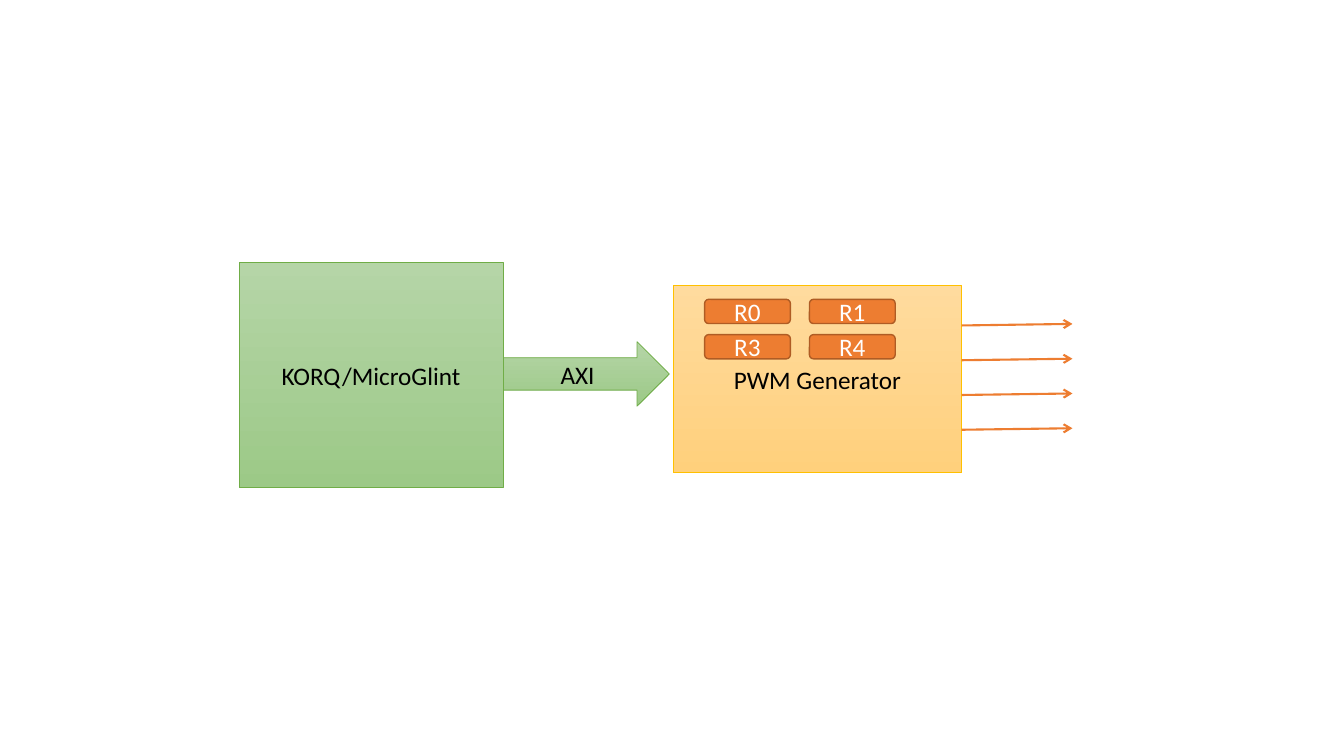
from dataclasses import dataclass

from lxml import etree
from pptx import Presentation
from pptx.dml.color import RGBColor
from pptx.enum.shapes import MSO_CONNECTOR, MSO_SHAPE
from pptx.enum.text import MSO_ANCHOR, PP_ALIGN
from pptx.oxml.ns import qn
from pptx.util import Inches, Pt

RECT = MSO_SHAPE.RECTANGLE
ROUNDED = MSO_SHAPE.ROUNDED_RECTANGLE
RIGHT_ARROW = MSO_SHAPE.RIGHT_ARROW
STRAIGHT = MSO_CONNECTOR.STRAIGHT
MIDDLE = MSO_ANCHOR.MIDDLE
CENTER = PP_ALIGN.CENTER

WIDTH, HEIGHT = Inches(13.33), Inches(7.5)
BLANK_LAYOUT = 6


@dataclass(frozen=True)
class Look:
    fill: tuple  # one colour, or top and bottom of a gradient
    line: str
    line_width: float
    text: str


@dataclass(frozen=True)
class Theme:
    font: str = "Calibri"
    size: int = 18
    signal: str = "ED7D31"
    signal_width: float = 1.5
    processor: Look = Look(("B5D5A7", "9CC987"), "70AD47", 0.5, "000000")
    generator: Look = Look(("FFDB9E", "FFD07C"), "FFC000", 0.5, "000000")
    register: Look = Look(("ED7D31",), "AF5C24", 1, "FFFFFF")


THEME = Theme()


def rgb(value):
    return RGBColor.from_string(value)


def col(share):
    """Length as a percentage of the slide's width."""
    return round(WIDTH * share / 100)


def row(share):
    """Length as a percentage of the slide's height."""
    return round(HEIGHT * share / 100)


def set_line(line, colour, width):
    line.color.rgb = rgb(colour)
    line.width = Pt(width)


def set_fill(fill, colours):
    if len(colours) == 1:
        fill.solid()
        fill.fore_color.rgb = rgb(colours[0])
        return
    fill.gradient()
    fill.gradient_angle = 270  # top to bottom
    for stop, colour in zip(fill.gradient_stops, colours):
        stop.color.rgb = rgb(colour)


def add_block(slide, kind, x, y, w, h, text, look):
    sp = slide.shapes.add_shape(kind, col(x), row(y), col(w), row(h))
    sp.shadow.inherit = False
    set_fill(sp.fill, look.fill)
    set_line(sp.line, look.line, look.line_width)
    tf = sp.text_frame
    tf.vertical_anchor = MIDDLE
    p = tf.paragraphs[0]
    p.alignment = CENTER
    r = p.add_run()
    r.text = text
    for name, value in {"name": THEME.font, "size": Pt(THEME.size)}.items():
        setattr(r.font, name, value)
    r.font.color.rgb = rgb(look.text)
    return sp


def add_signal(slide, x1, y1, x2, y2):
    cxn = slide.shapes.add_connector(STRAIGHT, col(x1), row(y1), col(x2), row(y2))
    set_line(cxn.line, THEME.signal, THEME.signal_width)
    etree.SubElement(cxn.line._get_or_add_ln(), qn("a:tailEnd"), type="arrow")
    etree.SubElement(cxn._element.spPr, qn("a:effectLst"))


def main():
    prs = Presentation()
    prs.slide_width, prs.slide_height = WIDTH, HEIGHT
    slide = prs.slides.add_slide(prs.slide_layouts[BLANK_LAYOUT])

    # PWM generator and its four outputs
    add_block(slide, RECT, 50.1, 37.73, 21.45, 24.8, "PWM Generator", THEME.generator)
    for i in range(4):
        y = 43.05 + i * 4.6
        add_signal(slide, 71.55, y, 79.8, y - 0.2)

    # Bus
    add_block(slide, RIGHT_ARROW, 37.35, 45.2, 12.45, 8.53, "AXI", THEME.processor)

    # Register grid, two by two
    for i, name in enumerate(("R0", "R1", "R3", "R4")):
        x, y = 52.43 + i % 2 * 7.8, 39.6 + i // 2 * 4.67
        add_block(slide, ROUNDED, x, y, 6.38, 3.2, name, THEME.register)

    # Processor
    add_block(slide, RECT, 17.78, 34.67, 19.65, 29.87, "KORQ/MicroGlint", THEME.processor)

    prs.save("out.pptx")


if __name__ == "__main__":
    main()
